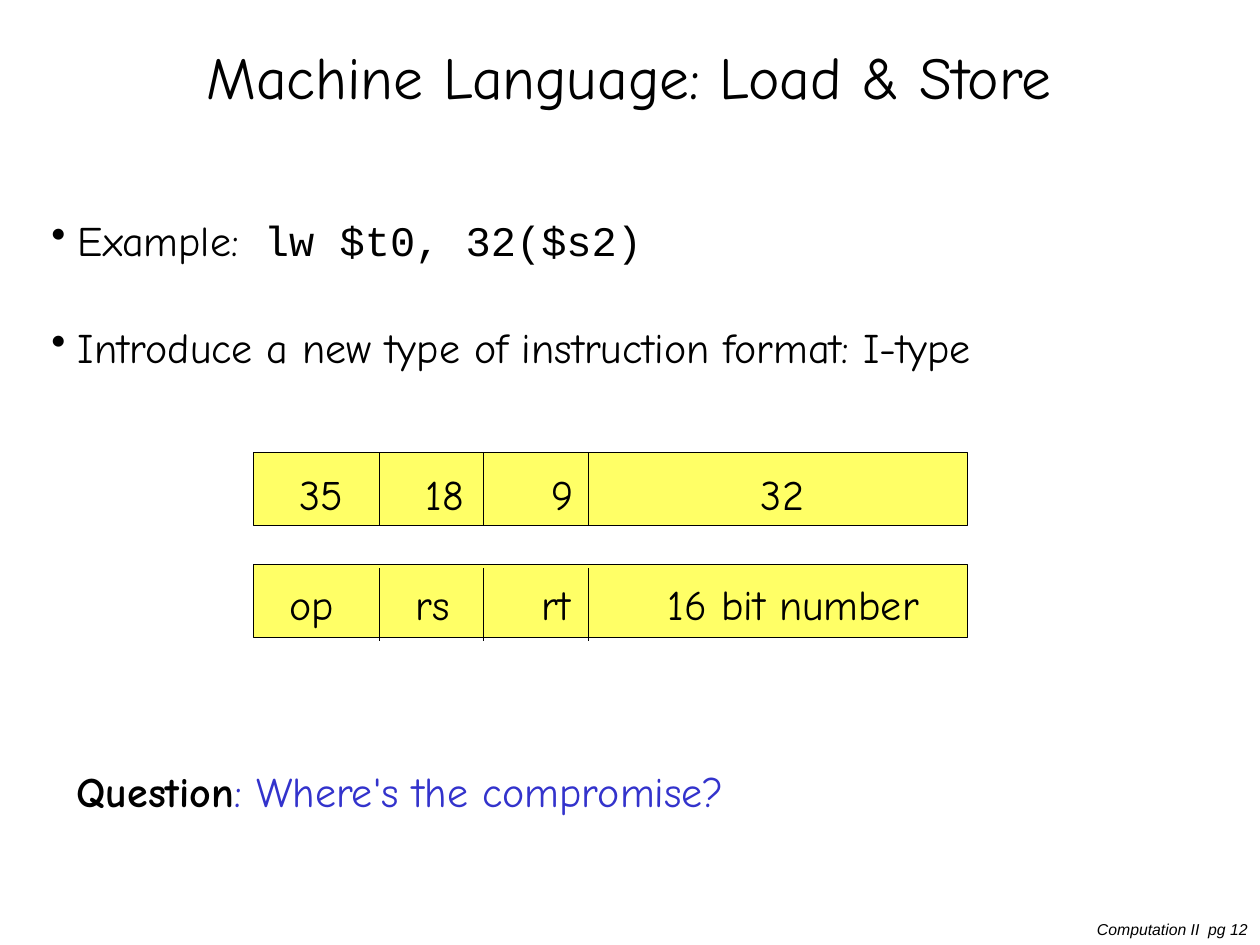
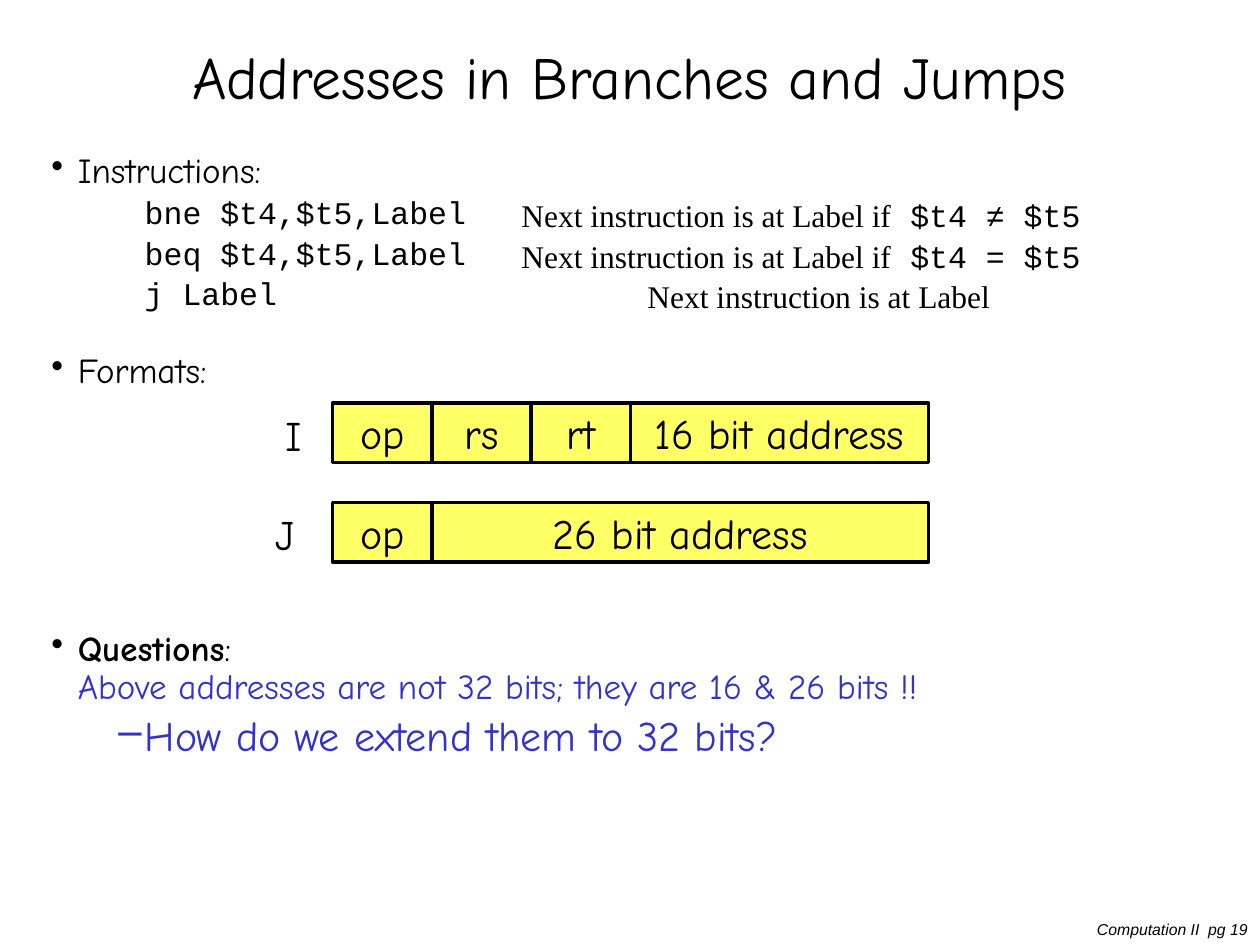
import pptx
import pptx.dml.color
import pptx.enum.shapes
import pptx.enum.text
import pptx.oxml.ns
import pptx.util
from lxml import etree
from pptx.util import Inches, Pt

BLACK = pptx.dml.color.RGBColor(0, 0, 0)
BLUE = pptx.dml.color.RGBColor(0x33, 0x33, 0xCC)
YELLOW = pptx.dml.color.RGBColor(0xFF, 0xFF, 0x66)
HAND, CODE, SERIF, FOOTER = "Comic Neue", "Courier New", "Times New Roman", "Arial"
ALIGN = pptx.enum.text.PP_ALIGN
MIDDLE = pptx.enum.text.MSO_ANCHOR.MIDDLE
BULLET_INDENT, SUB_INDENT, HANGING = 0.21, 0.74, 0.21


def add_runs(paragraph, runs, size):
    """Add (text, formatting) runs to a paragraph."""
    for text, formatting in runs:
        run = paragraph.add_run()
        run.text = text
        run.font.size = Pt(size)
        run.font.name = formatting.get("font", HAND)
        run.font.bold = formatting.get("bold", False)
        run.font.italic = formatting.get("italic", False)
        run.font.color.rgb = formatting.get("color", BLACK)


def add_text(slide, box, text, size=24, align=ALIGN.LEFT, **formatting):
    """Add a text box holding one paragraph in one format."""
    shape = slide.shapes.add_textbox(*map(Inches, box))
    shape.text_frame.word_wrap = True
    paragraph = shape.text_frame.paragraphs[0]
    paragraph.alignment = align
    add_runs(paragraph, [(text, formatting)], size)
    return shape


def add_body(slide, box, items, line_spacing):
    """Add a list whose items are (runs, size, indent, bullet, space before)."""
    frame = slide.shapes.add_textbox(*map(Inches, box)).text_frame
    frame.word_wrap = True
    for index, (runs, size, indent, bullet, space) in enumerate(items):
        paragraph = frame.add_paragraph() if index else frame.paragraphs[0]
        paragraph.line_spacing = line_spacing
        paragraph.space_before = Pt(space)
        add_runs(paragraph, runs, size)
        properties = paragraph._p.get_or_add_pPr()
        properties.set("marL", str(Inches(indent)))
        hanging = bullet or runs[0][0].startswith("\t")
        properties.set("indent", str(-Inches(HANGING) if hanging else 0))
        if bullet:
            etree.SubElement(properties, pptx.oxml.ns.qn("a:buFontTx"))
            mark = etree.SubElement(properties, pptx.oxml.ns.qn("a:buChar"))
            mark.set("char", bullet)


def add_rectangle(slide, box, line_width):
    """Add a yellow rectangle with a black outline."""
    shape = slide.shapes.add_shape(
        pptx.enum.shapes.MSO_SHAPE.RECTANGLE, *map(Inches, box))
    shape.shadow.inherit = False
    shape.fill.solid()
    shape.fill.fore_color.rgb = YELLOW
    shape.line.color.rgb = BLACK
    shape.line.width = Pt(line_width)
    return shape


def add_divider(slide, x, top, height):
    """Add a thin vertical line between two fields."""
    line = slide.shapes.add_connector(
        pptx.enum.shapes.MSO_CONNECTOR.STRAIGHT,
        Inches(x), Inches(top), Inches(x), Inches(top + height))
    line.line.color.rgb = BLACK
    line.line.width = Pt(0.75)
    etree.SubElement(line._element.spPr, pptx.oxml.ns.qn("a:effectLst"))


def add_page(presentation, title, number):
    """Add a blank slide with its title and page footer."""
    slide = presentation.slides.add_slide(presentation.slide_layouts[6])
    add_text(slide, (8.5, 7.25, 1.5, 0.25), f"Computation II  pg {number}",
             9, ALIGN.RIGHT, font=FOOTER, italic=True)
    heading = add_text(slide, (0.32, 0.25, 9.35, 0.8), title, 34, ALIGN.CENTER)
    heading.text_frame.vertical_anchor = MIDDLE
    heading.text_frame.paragraphs[0].line_spacing = 0.8
    return slide


def add_divided_row(slide, box, divider_drop, text_drop, fields):
    """Add one long rectangle split by lines, with (offset, text) fields."""
    left, top, width, height = box
    add_rectangle(slide, box, 0.75)
    for column in range(3):
        add_divider(slide, left + 1 + column * 0.83, top + divider_drop, height)
    ends = [offset for offset, text in fields[1:]] + [width]
    for (offset, text), end in zip(fields, ends):
        add_text(slide, (left + offset, top + text_drop, end - offset, 0.5), text)


def add_format_row(slide, box, name, name_left, fields):
    """Add a named row of cells whose widths follow their (units, text) fields."""
    left, top, width, height = box
    unit = width / sum(units for units, text in fields)
    for units, text in fields:
        cell = add_rectangle(slide, (left, top, units * unit, height), 2)
        frame = cell.text_frame
        frame.word_wrap = False
        frame.vertical_anchor = MIDDLE
        frame.paragraphs[0].alignment = ALIGN.CENTER
        add_runs(frame.paragraphs[0], [(text, {})], 24)
        left += units * unit
    add_text(slide, (name_left, top, 0.43, 0.5), name)


def add_meanings(slide, left, top, pitch, meanings):
    """Add one line of explanation beside each instruction."""
    for index, (offset, meaning, condition) in enumerate(meanings):
        shape = add_text(slide, (left + offset, top + index * pitch, 5, 0.37),
                         meaning, 18, font=SERIF)
        if condition:
            add_runs(shape.text_frame.paragraphs[0],
                     [(condition, {"font": CODE})], 18)


def build_load_store(presentation):
    """Build the slide on load and store instructions."""
    slide = add_page(presentation, "Machine Language: Load & Store", 12)
    add_body(slide, (0.31, 1.65, 9.39, 1.4), [
        ([("Example:", {}), (" lw $t0, 32($s2)", {"font": CODE})],
         24, BULLET_INDENT, "•", 0),
        ([("Introduce a new type of instruction format: I-type", {})],
         24, BULLET_INDENT, "•", 32.5),
    ], 1.0)
    add_divided_row(slide, (2.01, 3.59, 5.67, 0.58), 0, 0.08,
                    [(0.27, "35"), (1.27, "18"), (2.27, "9"), (3.93, "32")])
    add_divided_row(slide, (2.01, 4.48, 5.67, 0.58), 0.03, 0.06,
                    [(0.19, "op"), (1.19, "rs"), (2.19, "rt"),
                     (3.19, "16 bit number")])
    question = add_text(slide, (0.51, 6.03, 5.94, 0.5), "Question", bold=True)
    add_runs(question.text_frame.paragraphs[0],
             [(": Where's the compromise?", {"color": BLUE})], 24)


def build_branches_jumps(presentation):
    """Build the slide on addresses in branches and jumps."""
    slide = add_page(presentation, "Addresses in Branches and Jumps", 19)
    items = [([("Instructions:", {})], 20, BULLET_INDENT, "•", 4)]
    for code in ("bne $t4,$t5,Label", "beq $t4,$t5,Label", "j Label"):
        items.append(([("\t", {}), (code, {"font": CODE})],
                      18, SUB_INDENT, None, 3.6))
    items += [
        ([("Formats:", {})], 20, BULLET_INDENT, "•", 23.5),
        ([("Questions", {"bold": True}), (":", {})], 20, BULLET_INDENT, "•", 137),
        ([("Above addresses are not 32 bits; they are 16 & 26 bits !!",
           {"color": BLUE})], 20, BULLET_INDENT, None, 0),
        ([("How do we extend them to 32 bits?", {"color": BLUE})],
         24, SUB_INDENT, "–", 4.8),
    ]
    add_body(slide, (0.31, 1.17, 9.39, 5.91), items, 0.9)
    add_meanings(slide, 4.04, 1.51, 0.32, [
        (0, "Next instruction is at Label if", " $t4 ≠ $t5"),
        (0, "Next instruction is at Label if", " $t4 = $t5"),
        (1, "Next instruction is at Label", ""),
    ])
    add_format_row(slide, (2.64, 3.2, 4.73, 0.47), "I", 2.17,
                   [(1, "op"), (1, "rs"), (1, "rt"), (3, "16 bit address")])
    add_format_row(slide, (2.64, 3.99, 4.73, 0.47), "J", 2.09,
                   [(1, "op"), (5, "26 bit address")])


def main():
    """Build both slides and save the presentation."""
    presentation = pptx.Presentation()
    presentation.slide_width = Inches(10)
    presentation.slide_height = Inches(7.5)
    build_load_store(presentation)
    build_branches_jumps(presentation)
    presentation.save("out.pptx")


if __name__ == "__main__":
    main()
